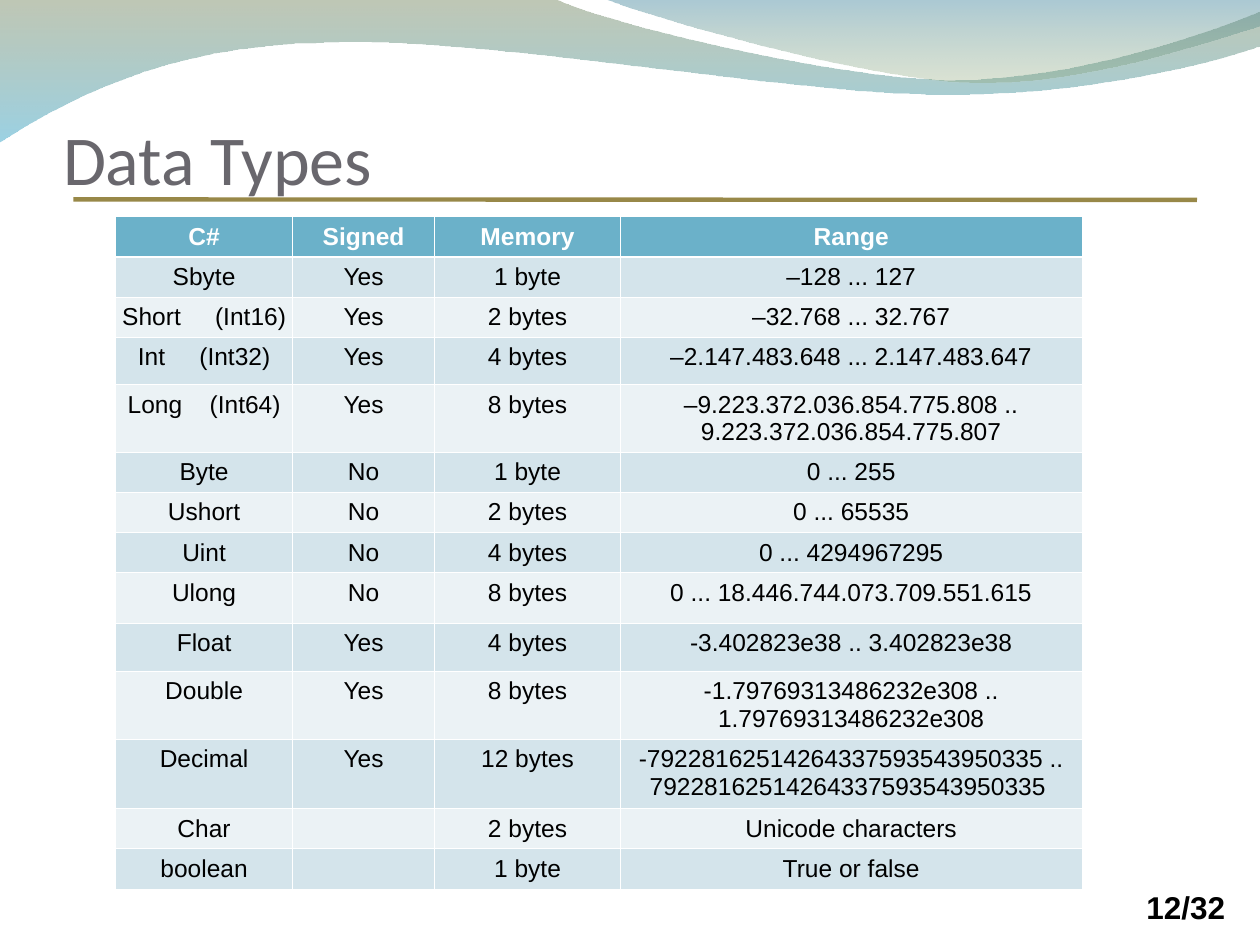
from lxml.etree import SubElement
from pptx import Presentation
from pptx.dml.color import RGBColor as RGB
from pptx.enum.shapes import MSO_CONNECTOR as Connector
from pptx.enum.text import MSO_ANCHOR as Anchor, MSO_AUTO_SIZE as AutoSize, PP_ALIGN as Align
from pptx.oxml.ns import qn
from pptx.util import Cm, Pt

COLORS = {
    "title": "69676D", "rule": "988848", "text": "000000", "white": "FFFFFF",
    "header": "6BB1C9", "odd": "D4E4EB", "even": "EBF2F5",
    "olive": "72845C", "sky": "49ACCD", "teal": "42869E", "moss": "8AA26C",
}
FORMATS = {
    "title": {"name": "Calibri", "size": Pt(40), "bold": False},
    "page": {"name": "Arial", "size": Pt(18), "bold": True},
    "header": {"name": "Arial", "size": Pt(14), "bold": True},
    "body": {"name": "Arial", "size": Pt(14), "bold": False},
}

# Wave outlines in cm: two numbers are a corner, six are a Bezier curve
BROAD_WAVE = [
    (0, -0.03), (11.18, -0.03),
    (12.09, 0.43, 16.87, 1.6, 19.25, 1.6), (21.67, 1.6, 24.33, 0.66, 25.4, 0.23),
    (25.43, 0.91),
    (24.96, 1.12, 22.1, 1.93, 18.95, 1.9), (15.8, 1.9, 9.7, 0.71, 6.53, 0.86),
    (3.28, 0.89, 1.17, 2.11, -0.03, 2.87),
]
RIGHT_WAVE = [
    (12.17, -0.03),
    (12.93, 0.28, 17.32, 1.57, 19.53, 1.65), (21.74, 1.75, 24.41, 0.81, 25.4, 0.53),
    (25.4, 0),
]

COLUMN_WIDTHS = [3.57, 2.86, 3.75, 9.3]
ROW_HEIGHT = 0.81
TALL_ROWS = {3: 0.95, 4: 1.35, 8: 1.02, 9: 0.97, 10: 1.36, 11: 1.4}
ALIAS_GAPS = {"Short": 15.6, "Int": 15.6, "Long": 11.7}  # points before "(Int16)" etc.
DATA_TYPES = [
    ("C#", "Signed", "Memory", "Range"),
    ("Sbyte", "Yes", "1 byte", "–128 ... 127"),
    ("Short (Int16)", "Yes", "2 bytes", "–32.768 ... 32.767"),
    ("Int (Int32)", "Yes", "4 bytes", "–2.147.483.648 ... 2.147.483.647"),
    ("Long (Int64)", "Yes", "8 bytes", "–9.223.372.036.854.775.808 .. 9.223.372.036.854.775.807"),
    ("Byte", "No", "1 byte", "0 ... 255"),
    ("Ushort", "No", "2 bytes", "0 ... 65535"),
    ("Uint", "No", "4 bytes", "0 ... 4294967295"),
    ("Ulong", "No", "8 bytes", "0 ... 18.446.744.073.709.551.615"),
    ("Float", "Yes", "4 bytes", "-3.402823e38 .. 3.402823e38"),
    ("Double", "Yes", "8 bytes", "-1.79769313486232e308 .. 1.79769313486232e308"),
    ("Decimal", "Yes", "12 bytes",
     "-79228162514264337593543950335 .. 79228162514264337593543950335 "),
    ("Char", "", "2 bytes", "Unicode characters"),
    ("boolean", "", "1 byte", "True or false"),
]


class SlideBuilder:
    def __init__(self, slide):
        self.slide = slide
        self.shapes = slide.shapes

    def color(self, key):
        return RGB.from_string(COLORS[key])

    def style(self, font, format_key, color):
        for attribute, value in FORMATS[format_key].items():
            setattr(font, attribute, value)
        font.color.rgb = self.color(color)

    def place(self, shape, box):
        for side, length in zip(("left", "top", "width", "height"), box):
            setattr(shape, side, Cm(length))

    def wave(self, outline, stops):
        points = [(Cm(part[i]), Cm(part[i + 1]))
                  for part in outline for i in range(0, len(part), 2)]
        builder = self.shapes.build_freeform(*points[0], scale=1.0)
        builder.add_line_segments(points[1:], close=True)
        wave = builder.convert_to_shape()
        self.bend(wave, outline)
        wave.shadow.inherit = False
        wave.line.fill.background()
        wave.fill.gradient()
        wave.fill.gradient_angle = 270
        for stop, (color, _) in zip(wave.fill.gradient_stops, stops):
            stop.color.rgb = self.color(color)
        tints = wave._element.spPr.iter(qn("a:srgbClr"))
        for tint, (_, opacity) in zip(tints, stops):
            SubElement(tint, qn("a:alpha")).set("val", str(opacity * 1000))

    def bend(self, wave, outline):
        """Join the three line segments of each curve into one Bezier segment."""
        segments = iter(list(wave._element.spPr.iter(qn("a:lnTo"))))
        for part in outline[1:]:
            first = next(segments)
            if len(part) == 6:
                first.tag = qn("a:cubicBezTo")
                for _ in range(2):
                    segment = next(segments)
                    first.append(segment[0])
                    segment.getparent().remove(segment)

    def rule(self, start, end, color, width):
        rule = self.shapes.add_connector(
            Connector.STRAIGHT, *(Cm(length) for length in start + end))
        rule.line.color.rgb = self.color(color)
        rule.line.width = Pt(width)
        SubElement(rule._element.spPr, qn("a:effectLst"))

    def title(self, text, box):
        title = self.shapes.title
        self.place(title, box)
        frame = title.text_frame
        settings = {"text": text, "auto_size": AutoSize.NONE, "vertical_anchor": Anchor.BOTTOM,
                    "margin_left": 0, "margin_right": 0, "margin_top": Cm(0.13),
                    "margin_bottom": 0}
        for attribute, value in settings.items():
            setattr(frame, attribute, value)
        frame.paragraphs[0].alignment = Align.LEFT
        self.style(frame.paragraphs[0].runs[0].font, "title", "title")

    def page_number(self, text, box):
        frame = self.shapes.add_textbox(*(Cm(length) for length in box)).text_frame
        frame.word_wrap = True
        frame.text = text
        self.style(frame.paragraphs[0].runs[0].font, "page", "text")

    def borders(self, cell, row):
        header_edge = {0: "a:lnB", 1: "a:lnT"}.get(row)
        for side in ("a:lnL", "a:lnR", "a:lnT", "a:lnB"):
            width = Pt(1.47) if side == header_edge else Pt(0.45)
            edge = SubElement(cell._tc.get_or_add_tcPr(), qn(side), w=str(width))
            fill = SubElement(edge, qn("a:solidFill"))
            SubElement(fill, qn("a:srgbClr"), val=COLORS["white"])

    def cell(self, cell, text, row):
        band = "header" if row == 0 else ("even", "odd")[row % 2]
        self.borders(cell, row)
        cell.fill.solid()
        cell.fill.fore_color.rgb = self.color(band)
        cell.margin_left = cell.margin_right = Cm(0.03)
        paragraph = cell.text_frame.paragraphs[0]
        paragraph.alignment = Align.CENTER
        if not text:
            blank = paragraph._p.get_or_add_endParaRPr()
            blank.set("sz", "1400")
            SubElement(blank, qn("a:latin"), typeface="Arial")
            return
        name, _, alias = text.partition(" (")
        for piece in [name, " ", f"({alias}"] if alias else [text]:
            run = paragraph.add_run()
            run.text = piece
            self.style(run.font, *(("header", "white") if row == 0 else ("body", "text")))
            if piece == " ":
                run.font._element.set("spc", str(round(ALIAS_GAPS[name] * 100)))

    def table(self, rows, left, top):
        heights = [TALL_ROWS.get(i, ROW_HEIGHT) for i in range(len(rows))]
        table = self.shapes.add_table(
            len(rows), len(COLUMN_WIDTHS), Cm(left), Cm(top),
            Cm(sum(COLUMN_WIDTHS)), Cm(sum(heights))).table
        table.horz_banding = False
        for column, width in zip(table.columns, COLUMN_WIDTHS):
            column.width = Cm(width)
        for i, (values, height) in enumerate(zip(rows, heights)):
            table.rows[i].height = Cm(height)
            for j, value in enumerate(values):
                self.cell(table.cell(i, j), value, i)


def main():
    deck = Presentation()
    deck.slide_width, deck.slide_height = Cm(25.4), Cm(19.05)
    page = SlideBuilder(deck.slides.add_slide(deck.slide_layouts[5]))

    # Decoration
    page.wave(BROAD_WAVE, [("olive", 45), ("sky", 55)])
    page.wave(RIGHT_WAVE, [("teal", 45), ("moss", 30)])
    page.rule((1.48, 4.02), (24.13, 4.03), "rule", 2.5)

    # Content
    page.title("Data Types", (1.27, 0.84, 22.86, 3.18))
    page.table(DATA_TYPES, 2.33, 4.37)
    page.page_number("12/32", (22.86, 17.78, 2.34, 2.54))

    deck.save("out.pptx")


if __name__ == "__main__":
    main()
